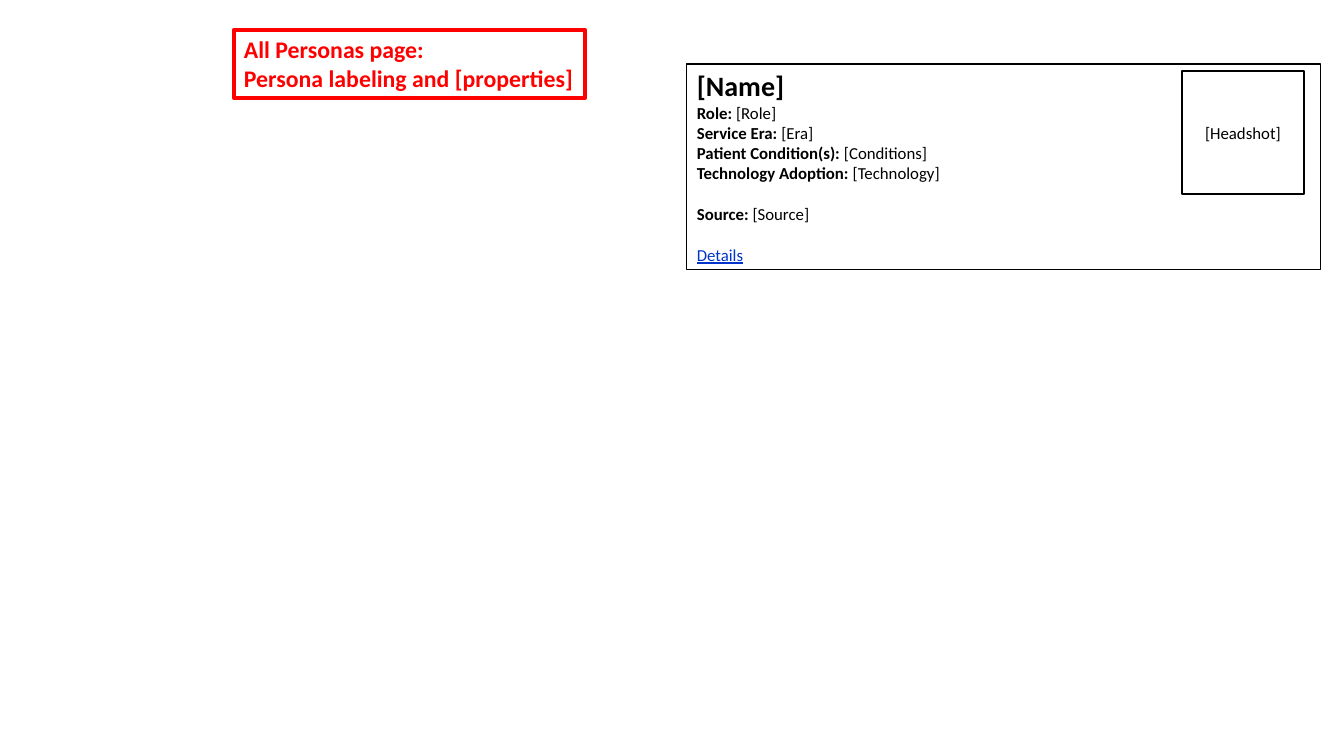
"""Build the slide that labels the properties of a persona card."""
from pptx import Presentation
from pptx.dml.color import RGBColor
from pptx.enum.shapes import MSO_SHAPE
from pptx.enum.text import MSO_ANCHOR, PP_ALIGN
from pptx.util import Pt

BLACK = RGBColor(0, 0, 0)
WHITE = RGBColor(255, 255, 255)
RED = RGBColor(255, 0, 0)
LINK_BLUE = RGBColor(0, 51, 204)

FONT = "Calibri"
PX = 914400 / 100.8
SLIDE_SIZE = (1344, 756)
BLANK_LINE = 14.65

TITLE_LINES = ["All Personas page:", "Persona labeling and [properties]"]
PERSONA_NAME = "[Name]"
PERSONA_FIELDS = [
    ("Role: ", "[Role]", 0),
    ("Service Era: ", "[Era]", 0),
    ("Patient Condition(s): ", "[Conditions]", 0),
    ("Technology Adoption: ", "[Technology]", 0),
    ("Source: ", "[Source]", BLANK_LINE),
]
DETAILS = "Details"
HEADSHOT = "[Headshot]"

CARD_AREA = (687, 64, 634, 206)
TITLE_AREA = (234, 30, 351, 68)
HEADSHOT_AREA = (1182, 71, 122, 123)


def px(length):
    """Turn px into EMU."""
    return round(length * PX)


def add_box(page, area, line_color, line_width, fill=None, anchor=MSO_ANCHOR.TOP):
    """Draw an outlined rectangle and return its text frame."""
    box = page.shapes.add_shape(MSO_SHAPE.RECTANGLE, *map(px, area))
    box.shadow.inherit = False
    box.line.color.rgb = line_color
    box.line.width = Pt(line_width)
    if fill is None:
        box.fill.background()
    else:
        box.fill.solid()
        box.fill.fore_color.rgb = fill
    frame = box.text_frame
    frame.word_wrap = True
    frame.vertical_anchor = anchor
    return frame


def add_line(frame, spans, size, color=BLACK, align=PP_ALIGN.LEFT, before=0):
    """Write one paragraph from (text, bold) spans."""
    first = frame.paragraphs[0]
    para = frame.add_paragraph() if first.runs else first
    para.alignment = align
    if before:
        para.space_before = Pt(before)
    for text, bold in spans:
        span = para.add_run()
        span.text = text
        span.font.name = FONT
        span.font.size = Pt(size)
        span.font.bold = bold
        span.font.color.rgb = color
    return para


def main():
    """Lay out the card, the title and the headshot, then save."""
    deck = Presentation()
    deck.slide_width, deck.slide_height = map(px, SLIDE_SIZE)
    page = deck.slides.add_slide(deck.slide_layouts[6])

    card = add_box(page, CARD_AREA, BLACK, 0.75, WHITE)
    add_line(card, [(PERSONA_NAME, True)], 20)
    for label, value, before in PERSONA_FIELDS:
        add_line(card, [(label, True), (value, False)], 12, before=before)
    details = add_line(card, [(DETAILS, False)], 12, LINK_BLUE, before=BLANK_LINE)
    details.runs[0].font.underline = True

    title = add_box(page, TITLE_AREA, RED, 3)
    title.word_wrap = False
    for text in TITLE_LINES:
        add_line(title, [(text, True)], 17, RED)

    headshot = add_box(page, HEADSHOT_AREA, BLACK, 1, WHITE, MSO_ANCHOR.MIDDLE)
    add_line(headshot, [(HEADSHOT, False)], 12, align=PP_ALIGN.CENTER)

    deck.save("out.pptx")


if __name__ == "__main__":
    main()
